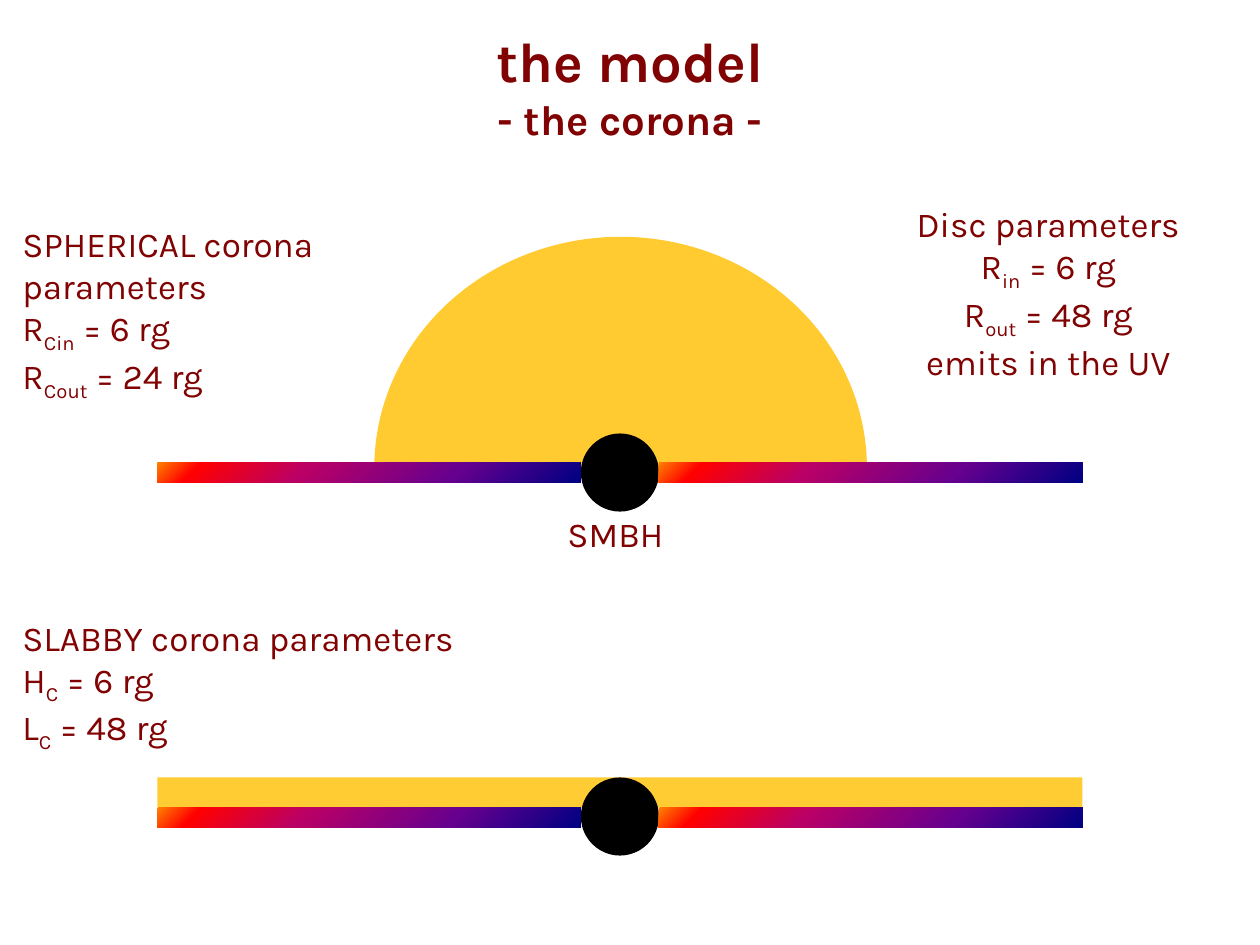
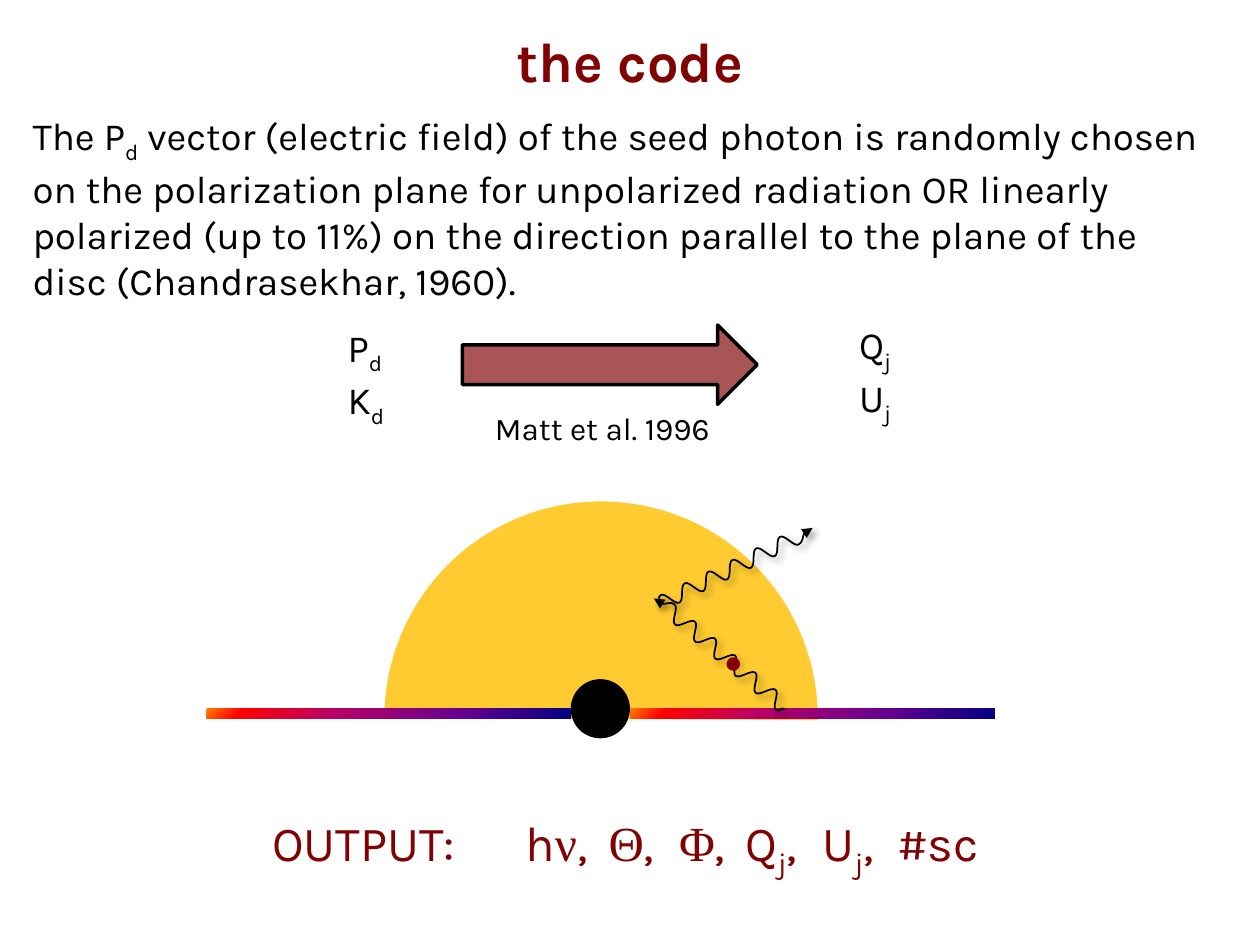
import itertools
import math

import lxml.etree
import pptx
import pptx.dml.color
import pptx.enum.shapes
import pptx.enum.text
import pptx.oxml.ns
import pptx.util

Inches = pptx.util.Inches
Pt = pptx.util.Pt
SHAPE = pptx.enum.shapes.MSO_SHAPE
ALIGN = pptx.enum.text.PP_ALIGN
qn = pptx.oxml.ns.qn

COLORS = {"wine": "800202", "black": "000000", "gold": "FFC000"}
HEAT = [(0, "000082"), (30, "66008F"), (65, "BA0066"), (90, "FF0000"), (100, "FF8200")]
FONT = "Karla"
GREEK_FONT = "Times New Roman"
GREEK = "νΘΦ"


def color(name):
    return pptx.dml.color.RGBColor.from_string(COLORS[name])


def add(parent, tag, **attrs):
    node = lxml.etree.SubElement(parent, qn(tag))
    for key, value in attrs.items():
        node.set(key, str(value))
    return node


def add_shape(slide, kind, box, fill=None, alpha=100, line=None):
    shape = slide.shapes.add_shape(kind, *map(Inches, box))
    shape.shadow.inherit = False
    if fill:
        shape.fill.solid()
        shape.fill.fore_color.rgb = color(fill)
    if alpha < 100:
        tint = shape._element.spPr.find(qn("a:solidFill"))[0]
        add(tint, "a:alpha", val=alpha * 1000)
    if line:
        shape.line.color.rgb = color(line)
        shape.line.width = Pt(2)
    else:
        shape.line.fill.background()
    return shape


def add_runs(para, text):
    """Text between tildes is subscript; Greek letters get their own font."""
    for index, part in enumerate(text.split("~")):
        for greek, chars in itertools.groupby(part, lambda char: char in GREEK):
            run = para.add_run()
            run.text = "".join(chars)
            if greek:
                run.font.name = GREEK_FONT
            if index % 2:
                run.font._element.set("baseline", "-25000")


def add_text(slide, box, lines, size, ink="wine", align=ALIGN.LEFT, bold=False):
    """Each size in a list goes with one line; a single size serves all."""
    frame = slide.shapes.add_textbox(*map(Inches, box)).text_frame
    frame.word_wrap = True
    frame.auto_size = pptx.enum.text.MSO_AUTO_SIZE.SHAPE_TO_FIT_TEXT
    sizes = size if isinstance(size, list) else [size] * len(lines)
    for index, (text, points) in enumerate(zip(lines, sizes)):
        para = frame.add_paragraph() if index else frame.paragraphs[0]
        para.alignment = align
        para.font.name = FONT
        para.font.size = Pt(points)
        para.font.bold = bold
        para.font.color.rgb = color(ink)
        add_runs(para, text)
    return frame


def add_title(slide, *lines):
    height = 0.24 + 0.4 * len(lines)
    add_text(slide, (0, 0.16, 10, height), lines, [32, 24][:len(lines)],
             align=ALIGN.CENTER, bold=True)


def add_bar(slide, box):
    """Disc half, with a radial heat gradient centred on its lower right corner."""
    bar = add_shape(slide, SHAPE.RECTANGLE, box, "black")
    solid = bar._element.spPr.find(qn("a:solidFill"))
    grad = lxml.etree.Element(qn("a:gradFill"), rotWithShape="1")
    stops = add(grad, "a:gsLst")
    for place, tint in HEAT:
        add(add(stops, "a:gs", pos=place * 1000), "a:srgbClr", val=tint)
    focus = add(grad, "a:path", path="circle")
    add(focus, "a:fillToRect", l=100000, t=100000)
    solid.getparent().replace(solid, grad)


def add_disc(slide, left, top, width, thick, hole, hole_top):
    """Black hole with one bar of the disc on each side."""
    inner = left + width
    add_shape(slide, SHAPE.OVAL, (inner, hole_top, hole, hole), "black")
    for start in (left, inner + hole):
        add_bar(slide, (start, top, width, thick))


def add_dome(slide, box):
    dome = add_shape(slide, SHAPE.CHORD, box, "gold", 81)
    dome.adjustments[0] = 54.1
    dome.adjustments[1] = 162.32
    dome.rotation = 90


def bend(wave, nodes, reach):
    """Turn the straight steps between nodes into curves level at each node."""
    left, top = wave.left, wave.top
    steps = list(wave._element.iter(qn("a:lnTo")))
    for step, (near, far) in zip(steps, itertools.pairwise(nodes)):
        curve = lxml.etree.Element(qn("a:cubicBezTo"))
        for (x, y), side in ((near, 1), (far, -1), (far, 0)):
            add(curve, "a:pt", x=Inches(x + side * reach[0]) - left,
                y=Inches(y + side * reach[1]) - top)
        step.getparent().replace(step, curve)


def add_wave(slide, start, end, halves=13, crest=0.05, trough=-0.07):
    """Photon track: a wave that flattens out into an arrowhead."""
    span_x, span_y = end[0] - start[0], end[1] - start[1]
    length = math.hypot(span_x, span_y)
    nodes = [start]
    for half in range(halves):
        part = (half + 0.5) / halves
        lift = (crest, trough)[half % 2] / length if half < halves - 1 else 0
        nodes.append((start[0] + span_x * part + span_y * lift,
                      start[1] + span_y * part - span_x * lift))
    nodes.append(end)
    points = [(Inches(x), Inches(y)) for x, y in nodes]
    pen = slide.shapes.build_freeform(*points[0])
    pen.add_line_segments(points[1:], close=False)
    wave = pen.convert_to_shape()
    bend(wave, nodes, (0.4 * span_x / halves, 0.4 * span_y / halves))
    wave.fill.background()
    wave.line.color.rgb = color("black")
    wave.line.width = Pt(1)
    add(wave.line._get_or_add_ln(), "a:tailEnd", type="triangle")
    wave.shadow.inherit = False
    effects = wave._element.spPr.find(qn("a:effectLst"))
    shadow = add(effects, "a:outerShdw", blurRad=Pt(4), dist=Pt(3), dir=45 * 60000)
    add(add(shadow, "a:srgbClr", val=COLORS["black"]), "a:alpha", val=40000)


def add_output(slide):
    frame = add_text(slide, (0.16, 6.4, 9.61, 0.57),
                     ["OUTPUT:\thν,\tΘ,\tΦ,\tQ~j~,\tU~j~,\t#sc"], 28)
    frame.margin_left = Inches(2)
    tabs = lxml.etree.Element(qn("a:tabLst"))
    for stop in (2.01, 2.67, 3.23, 3.76, 4.37, 4.96):
        add(tabs, "a:tab", pos=Inches(stop), algn="l")
    frame.paragraphs[0]._p.get_or_add_pPr().insert(0, tabs)


def build_model(slide):
    add_shape(slide, SHAPE.RECTANGLE, (1.25, 6.17, 7.34, 0.24), "gold", 80)
    add_dome(slide, (3.09, 1.76, 3.67, 3.91))
    add_title(slide, "the model", "- the corona -")
    for top, hole_top in ((3.67, 3.44), (6.41, 6.17)):
        add_disc(slide, 1.25, top, 3.36, 0.16, 0.62, hole_top)
    add_text(slide, (0.08, 1.72, 3.98, 1.11),
             ["SPHERICAL corona parameters", "R~Cin~ = 6 rg", "R~Cout~ = 24 rg"], 20)
    add_text(slide, (6.56, 1.56, 3.52, 1.45),
             ["Disc parameters", "R~in~ = 6 rg", "R~out~ = 48 rg", "emits in the UV"],
             20, align=ALIGN.CENTER)
    add_text(slide, (0.08, 4.84, 3.98, 1.11),
             ["SLABBY corona parameters", "H~C~ = 6 rg", "L~C~ = 48 rg"], 20)
    add_text(slide, (4.22, 4.02, 1.33, 0.44), ["SMBH"], 20, align=ALIGN.CENTER)


def build_code(slide):
    add_title(slide, "the code")
    add_text(slide, (0.16, 0.84, 9.61, 1.58),
             ["The P~d~ vector (electric field) of the seed photon is randomly chosen "
              "on the polarization plane for unpolarized radiation OR linearly "
              "polarized (up to 11%) on the direction parallel to the plane of the "
              "disc (Chandrasekhar, 1960)."], 22, "black")
    add_text(slide, (2.66, 2.52, 0.78, 0.84), ["P~d~", "K~d~"], 22, "black")
    add_shape(slide, SHAPE.RIGHT_ARROW, (3.67, 2.58, 2.34, 0.63), "wine", 67, "black")
    add_text(slide, (3.83, 3.2, 2.19, 0.4), ["Matt et al. 1996"], 18, "black")
    add_text(slide, (6.72, 2.5, 0.78, 0.84), ["Q~j~", "U~j~"], 22, "black")
    add_dome(slide, (3.05, 3.98, 3.44, 3.44))
    add_disc(slide, 1.64, 5.62, 2.89, 0.08, 0.47, 5.39)
    add_wave(slide, (6.23, 5.63), (5.19, 4.75))
    add_wave(slide, (5.22, 4.79), (6.45, 4.19))
    add_output(slide)
    add_shape(slide, SHAPE.OVAL, (5.78, 5.23, 0.08, 0.08), "wine", line="wine")


def main():
    deck = pptx.Presentation()
    deck.slide_width, deck.slide_height = Inches(10), Inches(7.5)
    for build in (build_model, build_code):
        build(deck.slides.add_slide(deck.slide_layouts[6]))
    deck.save("out.pptx")


if __name__ == "__main__":
    main()
